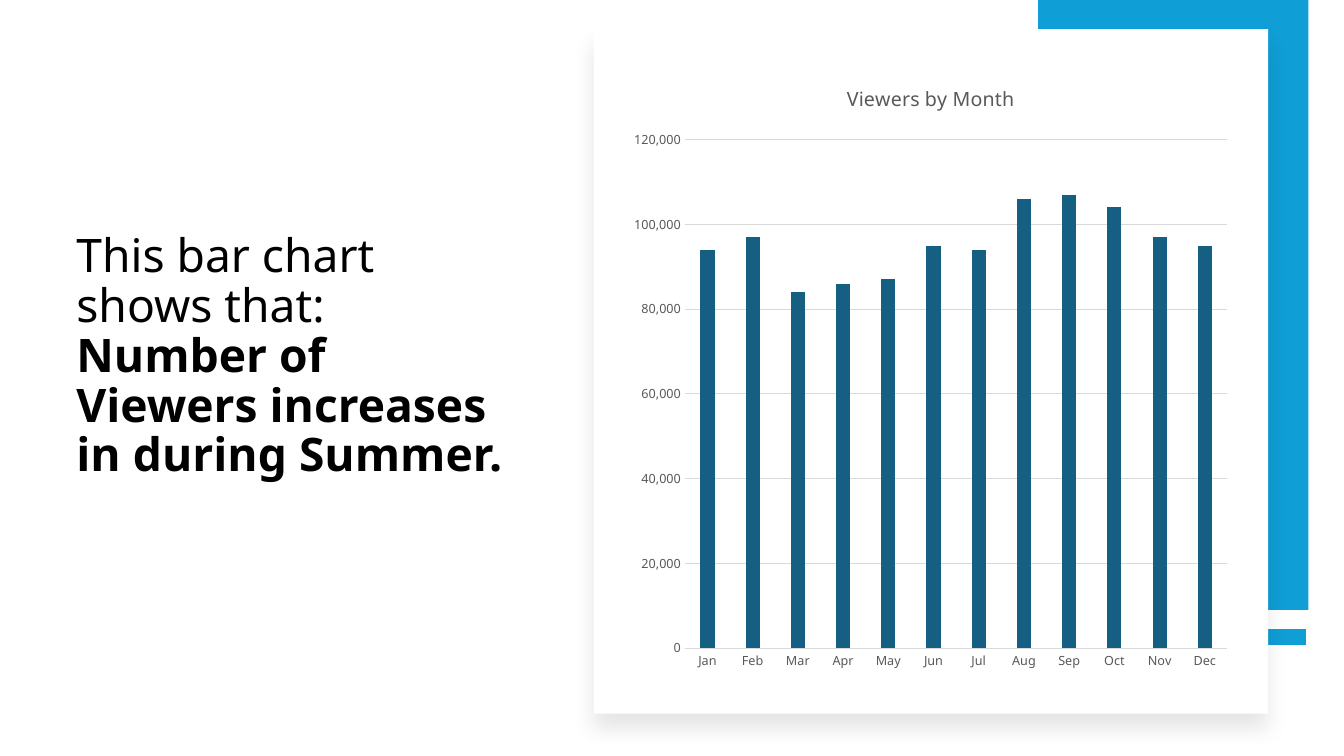
from dataclasses import dataclass

from lxml.etree import SubElement
from pptx import Presentation
from pptx.chart.data import CategoryChartData
from pptx.dml.color import RGBColor
from pptx.enum.chart import XL_CHART_TYPE, XL_TICK_MARK
from pptx.enum.shapes import MSO_CONNECTOR, MSO_SHAPE
from pptx.enum.text import MSO_ANCHOR
from pptx.oxml.ns import qn
from pptx.slide import Slide
from pptx.util import Pt

FONT = "Noto Sans"
BLACK, GREY, RULE = "000000", "595959", "D9D9D9"
ACCENT, BAR, WHITE = "0F9ED5", "156082", "FFFFFF"

VIEWERS = {
    "Jan": 94000, "Feb": 97000, "Mar": 84000, "Apr": 86000,
    "May": 87000, "Jun": 95000, "Jul": 94000, "Aug": 106000,
    "Sep": 107000, "Oct": 104000, "Nov": 97000, "Dec": 95000,
}


@dataclass
class Panel:
    left: float
    top: float
    width: float
    height: float
    fill: str
    shadow: bool = False


PANELS = [
    Panel(741.6, 0, 193, 435.6, ACCENT),
    Panel(424.1, 20.9, 481.7, 488.9, WHITE, shadow=True),
]


def color(value: str) -> RGBColor:
    return RGBColor.from_string(value)


def style_font(font, size: float, value: str, bold: bool = False) -> None:
    font.name = FONT
    font.size = Pt(size)
    font.bold = bold
    font.color.rgb = color(value)


def style_line(line, value: str, width: float) -> None:
    line.color.rgb = color(value)
    line.width = Pt(width)


def add_panel(page: Slide, panel: Panel) -> None:
    box = page.shapes.add_shape(MSO_SHAPE.RECTANGLE, Pt(panel.left), Pt(panel.top),
                                Pt(panel.width), Pt(panel.height))
    box.fill.solid()
    box.fill.fore_color.rgb = color(panel.fill)
    box.line.fill.background()
    box.shadow.inherit = False
    if panel.shadow:
        effects = box._element.spPr.find(qn("a:effectLst"))
        outer = SubElement(effects, qn("a:outerShdw"), blurRad=str(Pt(15)),
                           dist=str(Pt(11)), dir="5400000", algn="t", rotWithShape="0")
        tint = SubElement(outer, qn("a:srgbClr"), val=BLACK)
        SubElement(tint, qn("a:alpha"), val="10000")


def add_accent_line(page: Slide) -> None:
    line = page.shapes.add_connector(MSO_CONNECTOR.STRAIGHT, Pt(933.1), Pt(455),
                                     Pt(741.6), Pt(455))
    style_line(line.line, ACCENT, 12)
    SubElement(line._element.spPr, qn("a:effectLst"))


def add_message(page: Slide) -> None:
    box = page.shapes.add_textbox(Pt(47.5), Pt(53.3), Pt(328.3), Pt(294.5))
    frame = box.text_frame
    frame.word_wrap = True
    frame.vertical_anchor = MSO_ANCHOR.BOTTOM
    para = frame.paragraphs[0]
    para.line_spacing = 0.9
    span = para.add_run()
    span.text = "This bar chart shows that: "
    style_font(span.font, 33, BLACK)
    para.add_line_break()
    span = para.add_run()
    span.text = "Number of Viewers increases in during Summer."
    style_font(span.font, 33, BLACK, bold=True)


def add_viewers_chart(page: Slide) -> None:
    data = CategoryChartData(number_format="#,##0")
    data.categories = list(VIEWERS)
    data.add_series("Viewers by Month", list(VIEWERS.values()))
    chart = page.shapes.add_chart(XL_CHART_TYPE.COLUMN_CLUSTERED, Pt(444.2), Pt(43.9),
                                  Pt(441.4), Pt(443.5), data).chart
    style_font(chart.font, 10, BLACK)
    chart.has_legend = False

    # Chart title
    chart.has_title = True
    chart.chart_title.include_in_layout = False
    span = chart.chart_title.text_frame.paragraphs[0].add_run()
    span.text = "Viewers by Month"
    style_font(span.font, 14, GREY)

    # Columns
    plot = chart.plots[0]
    plot.vary_by_categories = False
    plot.gap_width = 219
    plot.overlap = -27
    columns = plot.series[0].format.fill
    columns.solid()
    columns.fore_color.rgb = color(BAR)

    # Axes
    for axis in (chart.category_axis, chart.value_axis):
        axis.major_tick_mark = XL_TICK_MARK.NONE
        axis.minor_tick_mark = XL_TICK_MARK.NONE
        style_font(axis.tick_labels.font, 9, GREY)
    style_line(chart.category_axis.format.line, RULE, 0.75)
    values = chart.value_axis
    values.minimum_scale, values.maximum_scale, values.major_unit = 0, 120000, 20000
    values.format.line.fill.background()
    values.has_major_gridlines = True
    style_line(values.major_gridlines.format.line, RULE, 0.75)
    values.tick_labels.number_format = "#,##0"
    values.tick_labels.number_format_is_linked = False


def main() -> None:
    deck = Presentation()
    deck.slide_width, deck.slide_height = Pt(960), Pt(540)
    page = deck.slides.add_slide(deck.slide_layouts[6])
    page.background.fill.solid()
    page.background.fill.fore_color.rgb = color(WHITE)

    # Message on the left
    add_message(page)

    # Accents and card on the right
    add_accent_line(page)
    for panel in PANELS:
        add_panel(page, panel)

    # Chart on the card
    add_viewers_chart(page)
    deck.save("out.pptx")


if __name__ == "__main__":
    main()
